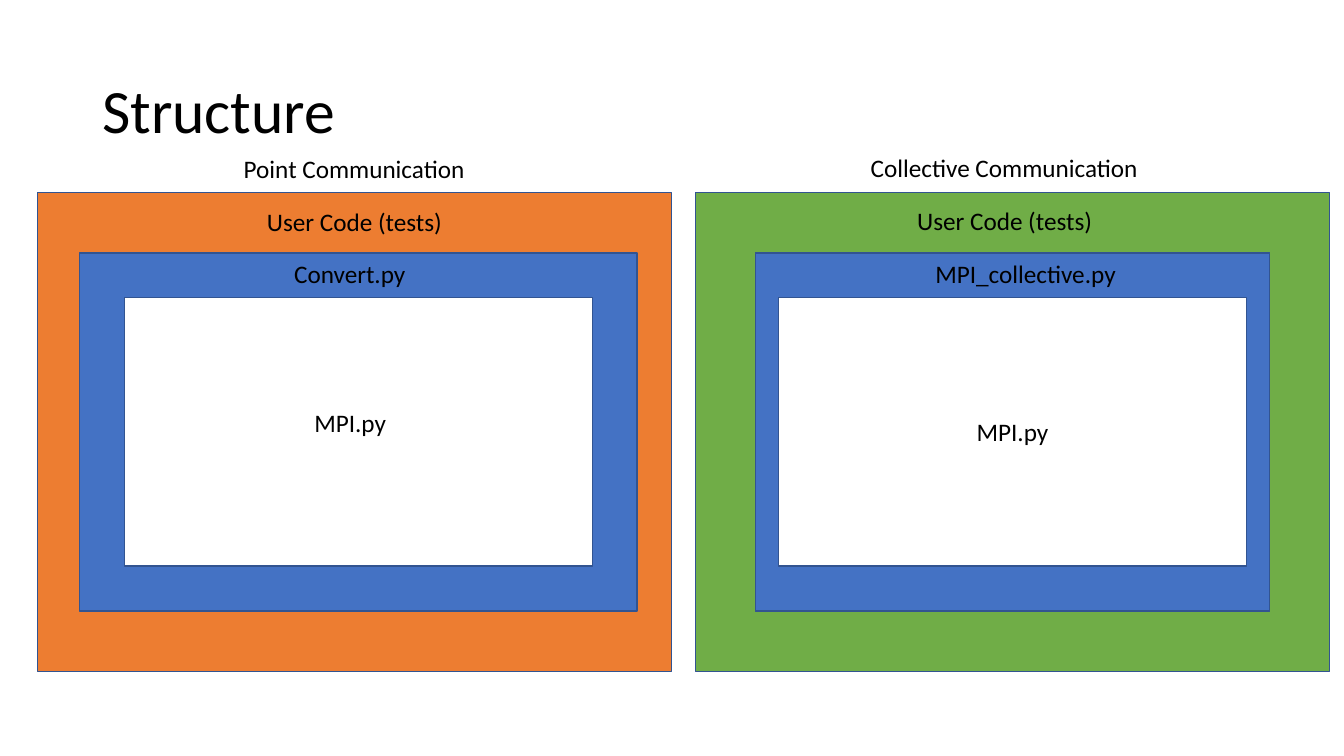
from dataclasses import dataclass

from pptx import Presentation
from pptx.dml.color import RGBColor
from pptx.enum.shapes import MSO_SHAPE
from pptx.enum.text import MSO_ANCHOR, MSO_AUTO_SIZE
from pptx.util import Pt


@dataclass(frozen=True)
class Theme:
    font: str = "Calibri"
    title_size: int = 44
    label_size: int = 18
    text: str = "000000"
    line: str = "325491"
    point: str = "ED7D31"
    collective: str = "70AD47"
    library: str = "4472C4"


THEME = Theme()

# Frame sizes shared by both halves of the slide
USER_SIZE = (452.9, 342)
LIBRARY_SIZE = (398.2, 255.6)
USER_TOP, LIBRARY_TOP = 137.5, 180.7
LABEL_HEIGHT = 29

# Text box formats
TITLE_FRAME = {"word_wrap": True, "vertical_anchor": MSO_ANCHOR.MIDDLE}
LABEL_FRAME = {"word_wrap": False, "auto_size": MSO_AUTO_SIZE.SHAPE_TO_FIT_TEXT}


def set_attrs(target, values):
    for name, value in values.items():
        setattr(target, name, value)


def add_frame(s, left, top, size, fill):
    sp = s.shapes.add_shape(MSO_SHAPE.FRAME, Pt(left), Pt(top), *map(Pt, size))
    sp.shadow.inherit = False
    sp.fill.solid()
    sp.fill.fore_color.rgb = RGBColor.from_string(fill)
    sp.line.color.rgb = RGBColor.from_string(THEME.line)
    sp.line.width = Pt(1)


def add_text(s, text, box, size, frame_format, line_spacing=1.0):
    tf = s.shapes.add_textbox(*map(Pt, box)).text_frame
    set_attrs(tf, frame_format)
    p = tf.paragraphs[0]
    p.line_spacing = line_spacing
    r = p.add_run()
    r.text = text
    set_attrs(r.font, {"name": THEME.font, "size": Pt(size)})
    r.font.color.rgb = RGBColor.from_string(THEME.text)


def add_labels(s, labels):
    for text, left, top, width in labels:
        add_text(s, text, (left, top, width, LABEL_HEIGHT), THEME.label_size, LABEL_FRAME)


def main():
    prs = Presentation()
    set_attrs(prs, {"slide_width": Pt(960), "slide_height": Pt(540)})
    s = prs.slides.add_slide(prs.slide_layouts[6])

    # Title
    add_text(s, "Structure", (66, 28.8, 828, 104.4), THEME.title_size, TITLE_FRAME, 0.9)

    # Point communication: library frame over user code
    add_frame(s, 26.6, USER_TOP, USER_SIZE, THEME.point)
    add_frame(s, 56.9, LIBRARY_TOP, LIBRARY_SIZE, THEME.library)
    add_labels(s, [
        ("Point Communication", 167, 105.8, 178.6),
        ("User Code (tests)", 183.6, 144, 145.4),
        ("Convert.py", 203, LIBRARY_TOP, 95),
        ("MPI.py", 217.4, 287.3, 66.2),
    ])

    # Collective communication: user code over library frame
    add_frame(s, 524.2, LIBRARY_TOP, LIBRARY_SIZE, THEME.library)
    add_frame(s, 496.8, USER_TOP, USER_SIZE, THEME.collective)
    add_labels(s, [
        ("Collective Communication", 614.9, 105.1, 211.7),
        ("User Code (tests)", 648, 143.3, 145.4),
        ("MPI_collective.py", 661, LIBRARY_TOP, 149),
        ("MPI.py", 690.5, 293.8, 66.2),
    ])

    prs.save("out.pptx")


if __name__ == "__main__":
    main()
